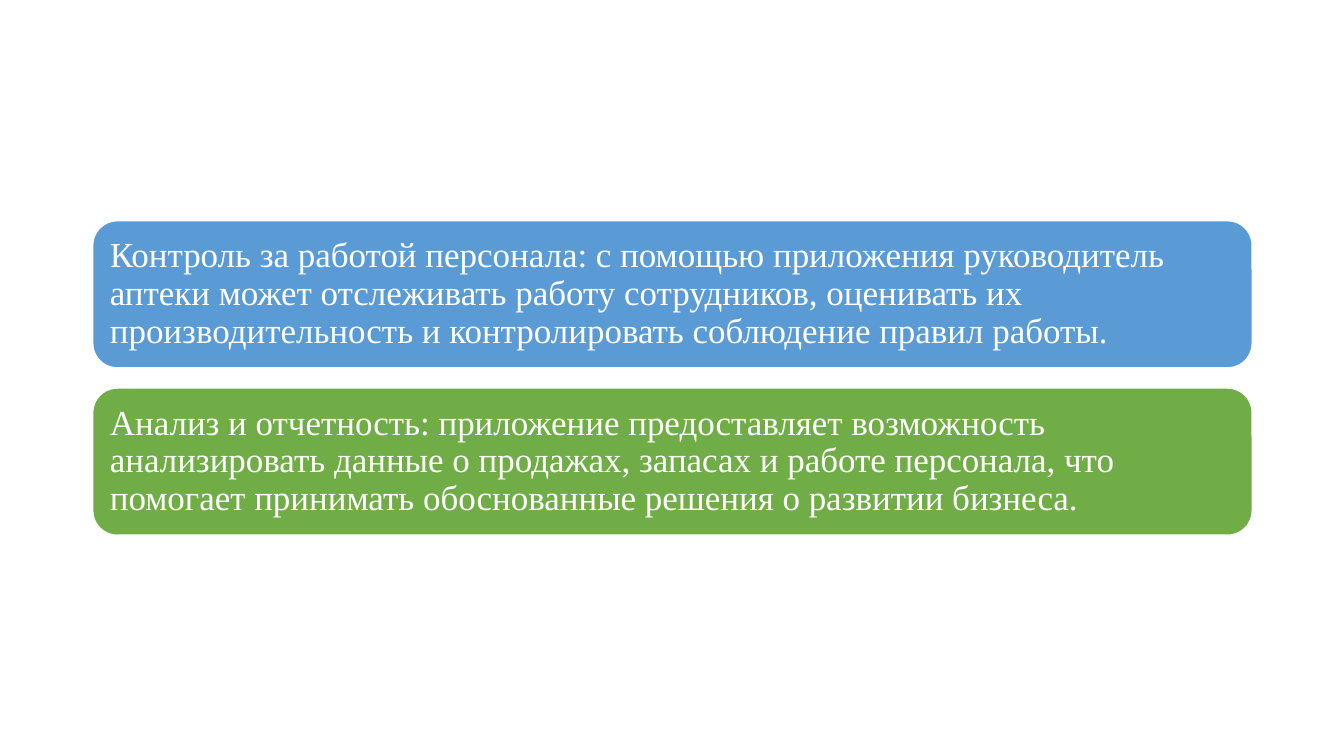
from pptx import Presentation
from pptx.dml.color import RGBColor
from pptx.enum.shapes import MSO_SHAPE
from pptx.enum.text import MSO_ANCHOR, PP_ALIGN
from pptx.util import Inches, Pt


def color(hex_string):
    return RGBColor.from_string(hex_string)


presentation = Presentation()
presentation.slide_width = Inches(13.33)
presentation.slide_height = Inches(7.5)
slide = presentation.slides.add_slide(presentation.slide_layouts[6])

# Benefits: fill colour and text of each card
benefits = [
    ("5B9BD5", "Контроль за работой персонала: с помощью приложения руководитель "
               "аптеки может отслеживать работу сотрудников, оценивать их "
               "производительность и контролировать соблюдение правил работы."),
    ("70AD47", "Анализ и отчетность: приложение предоставляет возможность "
               "анализировать данные о продажах, запасах и работе персонала, что "
               "помогает принимать обоснованные решения о развитии бизнеса."),
]
card_left, card_top, card_width, card_height = 0.92, 2.19, 11.5, 1.46
card_gap = 0.2

frame_format = {
    "word_wrap": True,
    "vertical_anchor": MSO_ANCHOR.MIDDLE,
    "margin_left": Inches(0.1),
    "margin_top": Inches(0.1),
    "margin_right": Inches(0.1),
    "margin_bottom": Inches(0.1),
}
font_format = {"name": "Times New Roman", "size": Pt(25)}

# Stacked rounded cards
for index, (fill, text) in enumerate(benefits):
    top = card_top + index * (card_height + card_gap)
    card = slide.shapes.add_shape(
        MSO_SHAPE.ROUNDED_RECTANGLE, Inches(card_left), Inches(top),
        Inches(card_width), Inches(card_height))
    card.shadow.inherit = False
    card.fill.solid()
    card.fill.fore_color.rgb = color(fill)
    card.line.color.rgb = color("FFFFFF")
    card.line.width = Pt(1)

    # Card text
    for name, value in frame_format.items():
        setattr(card.text_frame, name, value)
    paragraph = card.text_frame.paragraphs[0]
    paragraph.alignment = PP_ALIGN.LEFT
    paragraph.line_spacing = 0.9
    run = paragraph.add_run()
    run.text = text
    for name, value in font_format.items():
        setattr(run.font, name, value)
    run.font.color.rgb = color("FFFFFF")

presentation.save("out.pptx")
